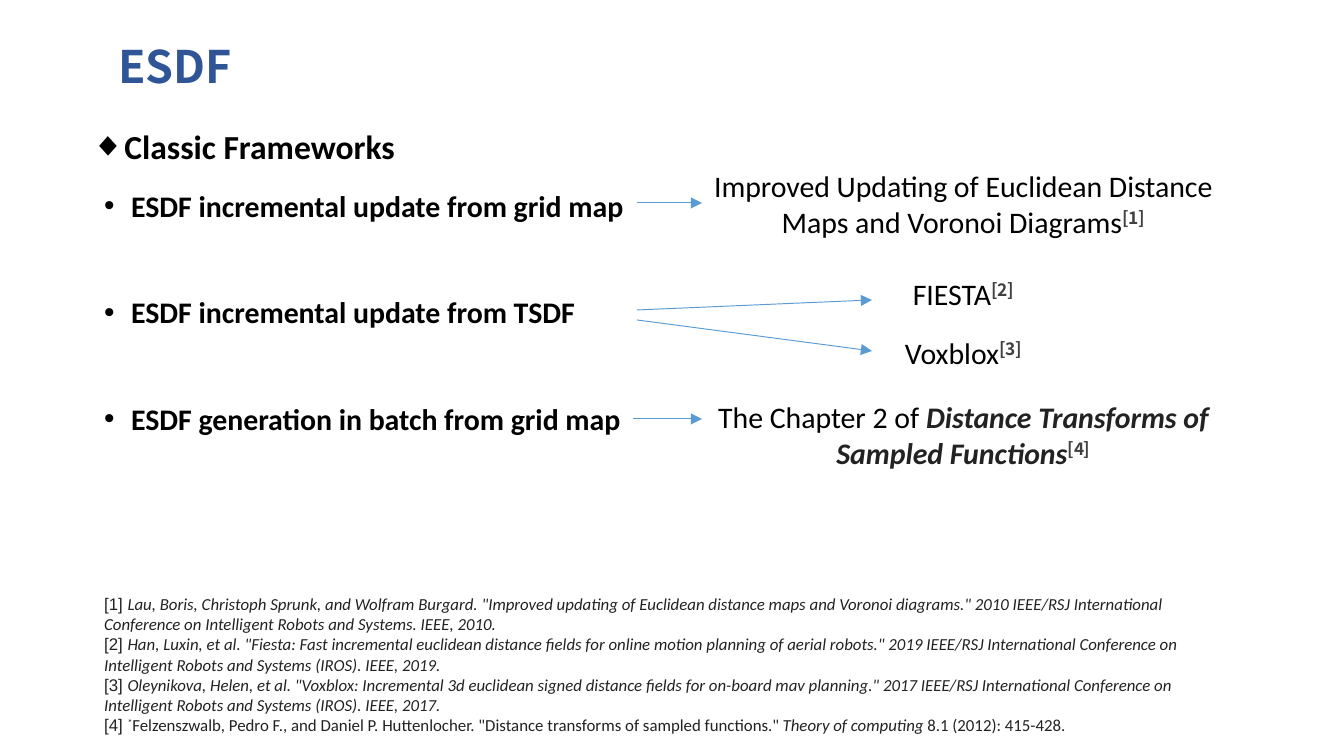
import pptx
import pptx.util
import pptx.dml.color
import pptx.enum.shapes
import pptx.enum.text
import pptx.oxml.ns
import lxml.etree

PX = 914400 / 134.4
SLIDE_SIZE = (1344, 756)
CJK = "Noto Sans CJK SC"

STYLES = {
    "title": dict(size=24, font=CJK, color="2F5597", bold=True),
    "heading": dict(size=18, color="000000", bold=True),
    "bullet": dict(size=16, color="000000", bold=True),
    "method": dict(size=16, color="000000"),
    "paper": dict(size=16, color="222222", bold=True, italic=True),
    "mark": dict(size=16, font=CJK, color="404040", bold=True, raised=True, spacing=-10),
    "number": dict(size=9, font="Arial", color="222222"),
    "citation": dict(size=9, color="222222"),
    "cited work": dict(size=9, color="222222", italic=True),
    "note": dict(size=9, color="222222", raised=True),
}

TITLE = [("ESDF", "title")]
HEADING = [("Classic Frameworks", "heading")]
FRAMEWORKS = [
    [("ESDF incremental update from grid map", "bullet")],
    [("ESDF incremental update from TSDF", "bullet")],
    [("ESDF generation in batch from grid map", "bullet")],
]
# top, height, runs
METHODS = [
    (161, 86, [("Improved Updating of Euclidean Distance Maps and Voronoi Diagrams", "method"),
               ("[1]", "mark")]),
    (269, 50, [("FIESTA", "method"), ("[2]", "mark")]),
    (328, 50, [("Voxblox", "method"), ("[3]", "mark")]),
    (392, 86, [("The Chapter 2 of ", "method"),
               ("Distance Transforms of Sampled Functions", "paper"),
               ("[4]", "mark")]),
]
# start x, start y, end x, end y
ARROWS = [
    (637, 203, 702, 203),
    (637, 310, 872, 300),
    (637, 320, 872, 351),
    (633, 419, 702, 419),
]
REFERENCES = [
    [("[1] ", "number"),
     ('Lau, Boris, Christoph Sprunk, and Wolfram Burgard. "Improved updating of Euclidean '
      'distance maps and Voronoi diagrams." 2010 IEEE/RSJ International Conference on '
      'Intelligent Robots and Systems. IEEE, 2010.', "cited work")],
    [("[2] ", "number"),
     ('Han, Luxin, et al. "Fiesta: Fast incremental euclidean distance fields for online '
      'motion planning of aerial robots." 2019 IEEE/RSJ International Conference on '
      'Intelligent Robots and Systems (IROS). IEEE, 2019.', "cited work")],
    [("[3] ", "number"),
     ('Oleynikova, Helen, et al. "Voxblox: Incremental 3d euclidean signed distance fields '
      'for on-board mav planning." 2017 IEEE/RSJ International Conference on '
      'Intelligent Robots and Systems (IROS). IEEE, 2017.', "cited work")],
    [("[4] ", "number"), ("*", "note"),
     ('Felzenszwalb, Pedro F., and Daniel P. Huttenlocher. "Distance transforms of sampled '
      'functions." ', "citation"),
     ("Theory of computing", "cited work"), (" 8.1 (2012): 415-428.", "citation")],
]


def px(length):
    return pptx.util.Emu(round(length * PX))


def rgb(value):
    return pptx.dml.color.RGBColor.from_string(value)


def add_child(parent, tag, **attributes):
    return lxml.etree.SubElement(parent, pptx.oxml.ns.qn(tag), **attributes)


def add_run(paragraph, text, size, color, font="Calibri", bold=False, italic=False,
            raised=False, spacing=None):
    run = paragraph.add_run()
    run.text = text
    run.font.size = pptx.util.Pt(size)
    run.font.name = font
    run.font.bold = bold
    run.font.italic = italic
    run.font.color.rgb = rgb(color)
    properties = run.font._element
    if raised:
        properties.set("baseline", "30000")
    if spacing is not None:
        properties.set("spc", str(spacing))


def set_bullet(paragraph, character, indent):
    properties = paragraph._p.get_or_add_pPr()
    properties.set("marL", str(px(indent)))
    properties.set("indent", str(-px(indent)))
    add_child(properties, "a:buFont", typeface="Arial")
    add_child(properties, "a:buChar", char=character)


def add_text(slide, box, paragraphs, bullet=None, indent=0, align=None,
             line_spacing=None, gap=0):
    """Add a text box; gap is the space in points between paragraphs."""
    shape = slide.shapes.add_textbox(*map(px, box))
    frame = shape.text_frame
    frame.word_wrap = True
    for index, runs in enumerate(paragraphs):
        paragraph = frame.add_paragraph() if index else frame.paragraphs[0]
        if bullet:
            set_bullet(paragraph, bullet, indent)
        paragraph.alignment = align
        if line_spacing:
            paragraph.line_spacing = line_spacing
        if index and gap:
            paragraph.space_before = pptx.util.Pt(gap)
        for text, style in runs:
            add_run(paragraph, text, **STYLES[style])
    return frame


def add_arrow(slide, points):
    arrow = slide.shapes.add_connector(
        pptx.enum.shapes.MSO_CONNECTOR.STRAIGHT, *map(px, points))
    arrow.line.color.rgb = rgb("5B9BD5")
    arrow.line.width = pptx.util.Pt(0.5)
    add_child(arrow.line._get_or_add_ln(), "a:tailEnd", type="triangle")
    add_child(arrow._element.spPr, "a:effectLst")


def main():
    presentation = pptx.Presentation()
    presentation.slide_width, presentation.slide_height = map(px, SLIDE_SIZE)
    slide = presentation.slides.add_slide(presentation.slide_layouts[6])

    title = add_text(slide, (105, 28, 1168, 82), [TITLE], line_spacing=0.9)
    title.vertical_anchor = pptx.enum.text.MSO_ANCHOR.MIDDLE

    heading = add_text(slide, (91, 105, 784, 56), [HEADING], "◆", 32, line_spacing=1.5)
    heading.margin_left = heading.margin_right = heading.margin_bottom = 0
    heading.margin_top = px(1)

    add_text(slide, (91, 163, 581, 333), FRAMEWORKS, "•", 27, line_spacing=1.5, gap=28.3)
    for top, height, runs in METHODS:
        add_text(slide, (673, top, 581, height), [runs],
                 align=pptx.enum.text.PP_ALIGN.CENTER)
    for points in ARROWS:
        add_arrow(slide, points)
    add_text(slide, (91, 587, 1164, 156), REFERENCES)

    presentation.save("out.pptx")


if __name__ == "__main__":
    main()
